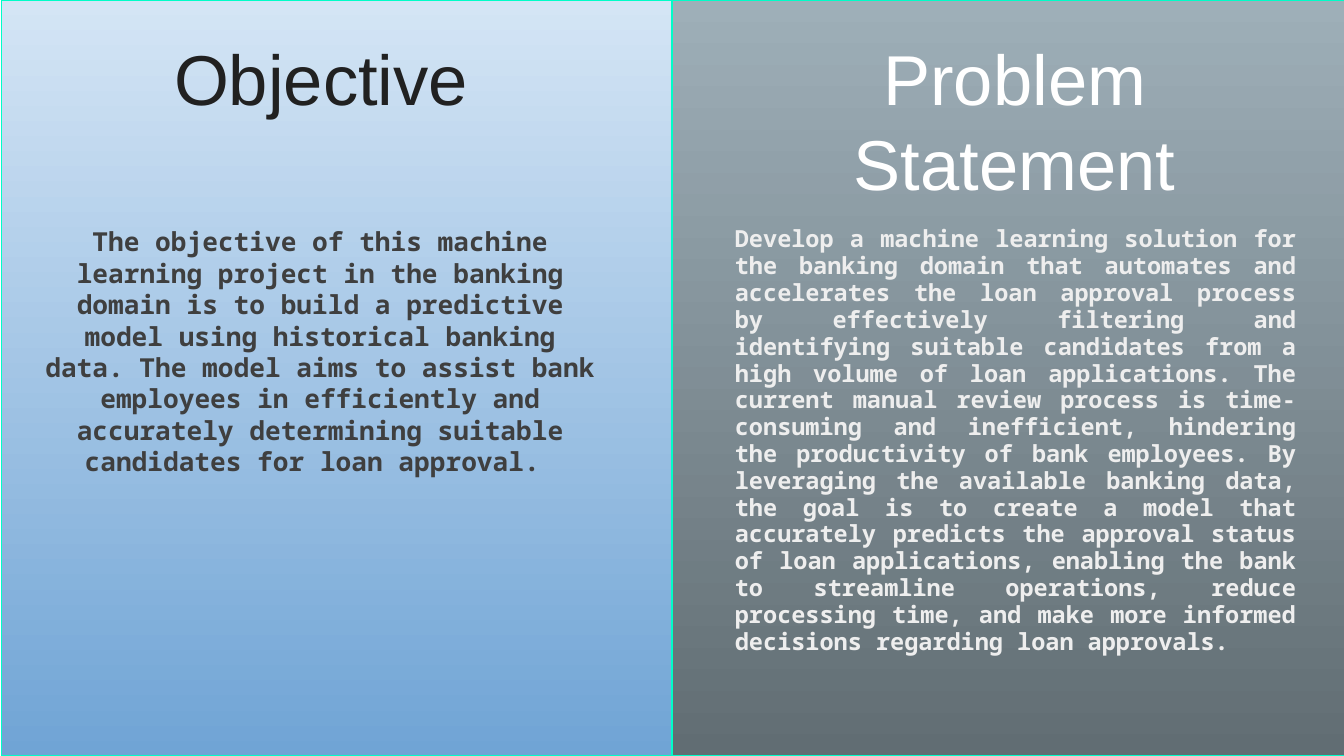
from dataclasses import dataclass

from pptx import Presentation
from pptx.dml.color import RGBColor
from pptx.enum.shapes import MSO_SHAPE
from pptx.enum.text import MSO_ANCHOR, PP_ALIGN
from pptx.slide import Slide
from pptx.util import Inches, Pt

COLORS = {
    "sky": "D4E5F5",
    "blue": "70A4D5",
    "mist": "9EAFB8",
    "slate": "616D73",
    "edge": "00FDC8",
    "ink": "212121",
    "charcoal": "3F3F3F",
    "pale": "EEEEEE",
    "white": "FFFFFF",
}
SLIDE_WIDTH = 10
SLIDE_HEIGHT = SLIDE_WIDTH * 9 / 16
LINE_HEIGHT = 1.2


@dataclass(frozen=True)
class TextStyle:
    font: str
    size: float
    color: str
    align: PP_ALIGN
    bold: bool = False
    spacing: float = 1.0
    gap: float = 0


@dataclass(frozen=True)
class Panel:
    left: float
    width: float
    gradient: tuple[str, str]
    title: str
    title_left: float
    title_style: TextStyle
    body: str
    body_left: float
    body_style: TextStyle


def title_style(color: str) -> TextStyle:
    return TextStyle("Arial", 37.8, color, PP_ALIGN.CENTER)


def body_style(size: float, color: str, align: PP_ALIGN, spacing: float) -> TextStyle:
    return TextStyle("Noto Sans Mono", size, color, align, True, spacing, 12)


PANELS = [
    Panel(
        0.01, 4.99, ("sky", "blue"),
        "Objective", 0.63, title_style("ink"),
        "The objective of this machine learning project in the banking domain is to "
        "build a predictive model using historical banking data. The model aims to "
        "assist bank employees in efficiently and accurately determining suitable "
        "candidates for loan approval. ",
        0.2, body_style(14, "charcoal", PP_ALIGN.CENTER, 1.0),
    ),
    Panel(
        5, 5.08, ("mist", "slate"),
        "Problem Statement", 5.79, title_style("white"),
        "Develop a machine learning solution for the banking domain that automates "
        "and accelerates the loan approval process by effectively filtering and "
        "identifying suitable candidates from a high volume of loan applications. "
        "The current manual review process is time-consuming and inefficient, "
        "hindering the productivity of bank employees. By leveraging the available "
        "banking data, the goal is to create a model that accurately predicts the "
        "approval status of loan applications, enabling the bank to streamline "
        "operations, reduce processing time, and make more informed decisions "
        "regarding loan approvals.",
        5.37, body_style(12.6, "pale", PP_ALIGN.JUSTIFY, 0.95),
    ),
]


def rgb(name: str) -> RGBColor:
    return RGBColor.from_string(COLORS[name])


def add_background(slide: Slide, panel: Panel) -> None:
    background = slide.shapes.add_shape(
        MSO_SHAPE.RECTANGLE, Inches(panel.left), Inches(0),
        Inches(panel.width), Inches(SLIDE_HEIGHT),
    )
    background.shadow.inherit = False
    background.fill.gradient()
    background.fill.gradient_angle = 270
    for position, (stop, color) in enumerate(
        zip(background.fill.gradient_stops, panel.gradient)
    ):
        stop.position = position
        stop.color.rgb = rgb(color)
    background.line.color.rgb = rgb("edge")
    background.line.width = Pt(0.75)


def add_text(
    slide: Slide, text: str, left: float, top: float,
    width: float, height: float, style: TextStyle,
) -> None:
    frame = slide.shapes.add_textbox(
        Inches(left), Inches(top), Inches(width), Inches(height)
    ).text_frame
    frame.word_wrap = True
    frame.vertical_anchor = MSO_ANCHOR.TOP
    frame.margin_left = frame.margin_right = Inches(0.1)
    frame.margin_top = frame.margin_bottom = Inches(0.1)
    paragraph = frame.paragraphs[0]
    paragraph.alignment = style.align
    paragraph.line_spacing = Pt(style.size * LINE_HEIGHT * style.spacing)
    paragraph.space_before = paragraph.space_after = Pt(style.gap)
    run = paragraph.add_run()
    run.text = text
    run.font.name = style.font
    run.font.size = Pt(style.size)
    run.font.bold = style.bold
    run.font.color.rgb = rgb(style.color)


def draw_panel(slide: Slide, panel: Panel) -> None:
    add_background(slide, panel)
    add_text(slide, panel.body, panel.body_left, 1.58, 4.37, 3.65, panel.body_style)
    add_text(slide, panel.title, panel.title_left, 0.16, 3.52, 0.88, panel.title_style)


def main() -> None:
    presentation = Presentation()
    presentation.slide_width = Inches(SLIDE_WIDTH)
    presentation.slide_height = Inches(SLIDE_HEIGHT)
    slide = presentation.slides.add_slide(presentation.slide_layouts[6])
    for panel in PANELS:
        draw_panel(slide, panel)
    presentation.save("out.pptx")


if __name__ == "__main__":
    main()
